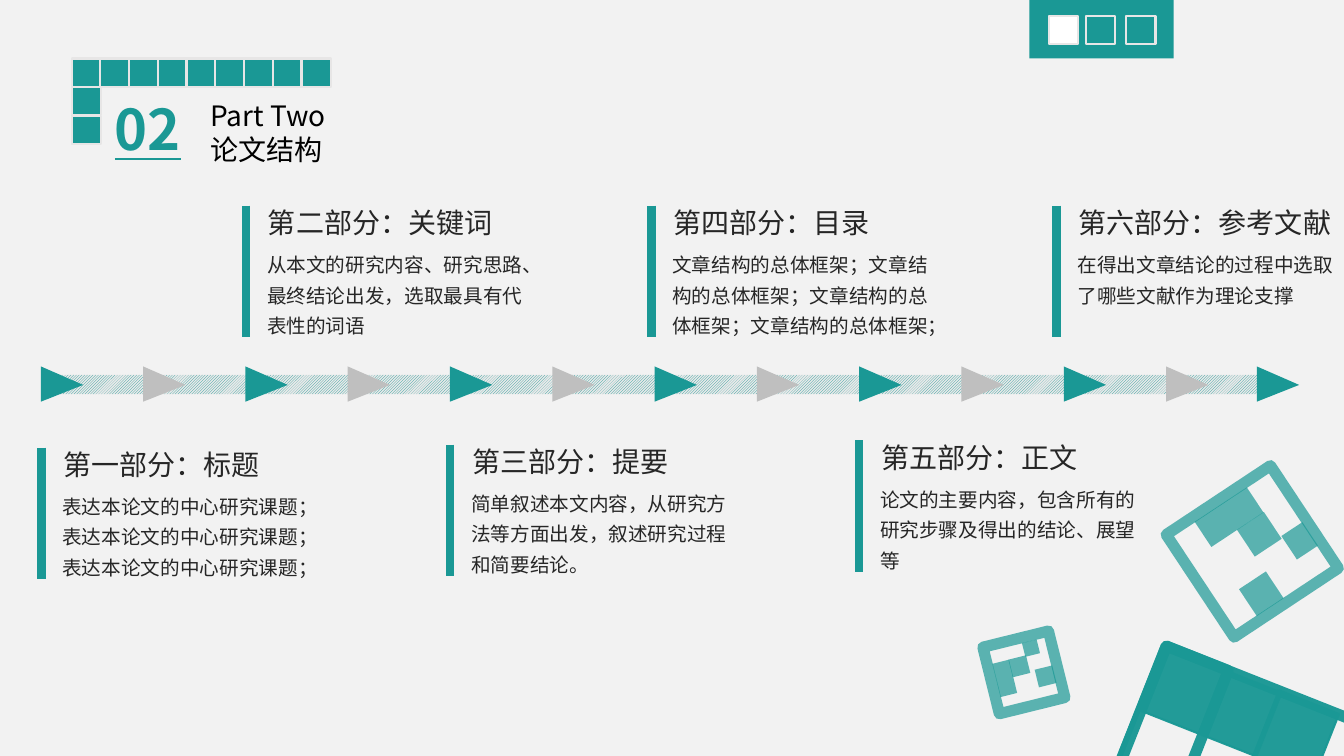
from lxml import etree
from pptx import Presentation
from pptx.dml.color import RGBColor
from pptx.enum.dml import MSO_PATTERN
from pptx.enum.shapes import MSO_CONNECTOR, MSO_SHAPE
from pptx.enum.text import MSO_AUTO_SIZE, PP_ALIGN
from pptx.oxml.ns import qn
from pptx.util import Inches, Pt

RECTANGLE = MSO_SHAPE.RECTANGLE
TRIANGLE = MSO_SHAPE.ISOSCELES_TRIANGLE
STRAIGHT = MSO_CONNECTOR.STRAIGHT
HATCH = MSO_PATTERN.LIGHT_UPWARD_DIAGONAL
FIT_TEXT = MSO_AUTO_SIZE.SHAPE_TO_FIT_TEXT
LEFT = PP_ALIGN.LEFT

TEAL = RGBColor(0x1A, 0x98, 0x95)
PAPER = RGBColor(0xF2, 0xF2, 0xF2)
EDGE = RGBColor(0xE7, 0xE6, 0xE6)
TRACK = RGBColor(0xE9, 0xE9, 0xE9)
GREY = RGBColor(0xBF, 0xBF, 0xBF)
INK = RGBColor(0x26, 0x26, 0x26)
BLACK = RGBColor(0, 0, 0)
WHITE = RGBColor(0xFF, 0xFF, 0xFF)
FONT = "Noto Sans CJK SC"

presentation = Presentation()
presentation.slide_width = Inches(13.33)
presentation.slide_height = Inches(7.5)
COLUMN = presentation.slide_width / 13.33
ROW = presentation.slide_height / 7.5
slide = presentation.slides.add_slide(presentation.slide_layouts[6])
slide.background.fill.solid()
slide.background.fill.fore_color.rgb = PAPER


def add_block(preset, box, fill, rotation=0, line=None, line_width=1.5, opacity=100):
    left, top, width, height = box
    shape = slide.shapes.add_shape(
        preset, int(left * COLUMN), int(top * ROW), int(width * COLUMN), int(height * ROW))
    shape.shadow.inherit = False
    shape.rotation = rotation
    shape.fill.solid()
    shape.fill.fore_color.rgb = fill
    if line is None:
        shape.line.fill.background()
    else:
        shape.line.color.rgb = line
        shape.line.width = Pt(line_width)
    if opacity < 100:
        for color in shape._element.spPr.iter(qn("a:srgbClr")):
            if color.get("val") == str(TEAL):
                etree.SubElement(color, qn("a:alpha"), val=str(opacity * 1000))
    return shape


def add_text(box, text, size, color, spacing=None, strong=False):
    left, top, width, height = box
    shape = slide.shapes.add_textbox(
        int(left * COLUMN), int(top * ROW), int(width * COLUMN), int(height * ROW))
    frame = shape.text_frame
    frame.word_wrap = True
    frame.auto_size = FIT_TEXT
    frame.text = text
    for paragraph in frame.paragraphs:
        paragraph.alignment = LEFT
        if spacing:
            paragraph.line_spacing = spacing
        for run in paragraph.runs:
            run.font.size = Pt(size)
            run.font.color.rgb = color
            run.font.name = FONT
            if strong:
                run.font.bold = True
                run.font.underline = True
            etree.SubElement(run.font._element, qn("a:ea"), typeface=FONT)


TILE = 0.285
corner_tiles = [(column, 0) for column in range(9)] + [(0, 1), (0, 2)]
for column, row in corner_tiles:
    add_block(RECTANGLE, (0.71 + column * TILE, 0.58 + row * TILE, 0.29, 0.28), TEAL, line=EDGE)

for box, fill, line_width in [
    ((11.67, 6.34, 1.33, 2.18), PAPER, 8),
    ((12.08, 7.26, 1.32, 0.64), TEAL, 1.5),
    ((10.98, 6.81, 1.31, 0.66), PAPER, 8),
    ((11.67, 6.34, 0.68, 1.24), TEAL, 1.5),
]:
    add_block(RECTANGLE, box, fill, 291.6, TEAL, line_width, 96)

mosaics = [
    (236.5, (11.81, 4.85, 1.22, 1.24), [
        (12.75, 5.24, 0.28, 0.25), (12.35, 5.73, 0.32, 0.32),
        (12.33, 5.14, 0.32, 0.32), (12.04, 4.82, 0.3, 0.62)]),
    (166.1, (9.82, 6.33, 0.67, 0.68), [
        (10.15, 6.36, 0.15, 0.14), (10.28, 6.62, 0.18, 0.18),
        (10.02, 6.52, 0.18, 0.18), (9.88, 6.56, 0.17, 0.34)]),
]
for rotation, frame_box, pieces in mosaics:
    add_block(RECTANGLE, frame_box, PAPER, rotation, TEAL, 8, 70)
    for piece in pieces:
        add_block(RECTANGLE, piece, TEAL, rotation, opacity=70)

add_block(RECTANGLE, (10.21, 0, 1.43, 0.58), TEAL)
for left, fill in [(10.4, WHITE), (10.77, TEAL), (11.17, TEAL)]:
    add_block(RECTANGLE, (left, 0.16, 0.29, 0.28), fill, line=EDGE)

track = add_block(RECTANGLE, (0.41, 3.72, 12.23, 0.19), TEAL)
track.fill.patterned()
track.fill.pattern = HATCH
track.fill.fore_color.rgb = TEAL
track.fill.back_color.rgb = TRACK

ARROW_STEP = (11.6 - 0.44) / 11
arrow_lefts = [0.44 + index * ARROW_STEP for index in range(12)] + [12.5]
for index, left in enumerate(arrow_lefts):
    arrow = add_block(TRIANGLE, (left, 3.6, 0.35, 0.42), GREY if index % 2 else TEAL, 90)
    arrow.adjustments[0] = 0.525

add_text((1.04, 0.89, 0.95, 0.77), "02", 40, TEAL, strong=True)
add_text((1.99, 0.93, 2.4, 0.77), "Part Two\n论文结构", 20, BLACK)

UPPER_LEFTS = [2.44 + index * 4.02 for index in range(3)]
LOWER_LEFTS = [0.41 + index * 4.055 for index in range(3)]
sections = [
    (LOWER_LEFTS[0], 4.44, "第一部分：标题",
     "表达本论文的中心研究课题；表达本论文的中心研究课题；\n表达本论文的中心研究课题；"),
    (UPPER_LEFTS[0], 2.04, "第二部分：关键词",
     "从本文的研究内容、研究思路、最终结论出发，选取最具有代表性的词语"),
    (LOWER_LEFTS[1], 4.41, "第三部分：提要",
     "简单叙述本文内容，从研究方法等方面出发，叙述研究过程和简要结论。"),
    (UPPER_LEFTS[1], 2.04, "第四部分：目录",
     "文章结构的总体框架；文章结构的总体框架；文章结构的总体框架；文章结构的总体框架；"),
    (LOWER_LEFTS[2], 4.37, "第五部分：正文",
     "论文的主要内容，包含所有的研究步骤及得出的结论、展望等"),
    (UPPER_LEFTS[2], 2.04, "第六部分：参考文献",
     "在得出文章结论的过程中选取了哪些文献作为理论支撑"),
]
for left, top, title, body in sections:
    bar = slide.shapes.add_connector(
        STRAIGHT, int(left * COLUMN), int(top * ROW), int(left * COLUMN), int((top + 1.3) * ROW))
    bar.line.color.rgb = TEAL
    bar.line.width = Pt(6)
    etree.SubElement(bar._element.spPr, qn("a:effectLst"))
    add_text((left + 0.12, top - 0.05, 2.84, 0.44), title, 20, INK)
    add_text((left + 0.11, top + 0.35, 2.85, 0.99), body, 14, INK, spacing=1.3)

presentation.save("out.pptx")
